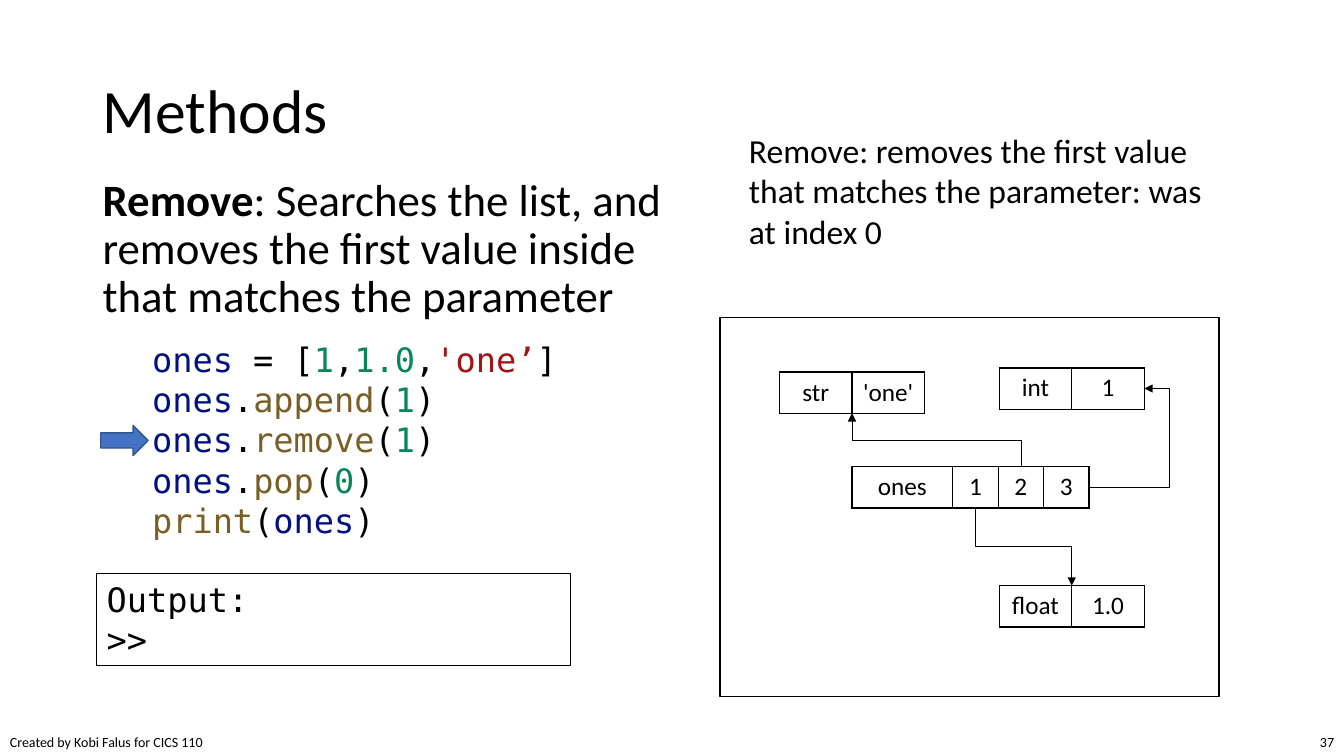
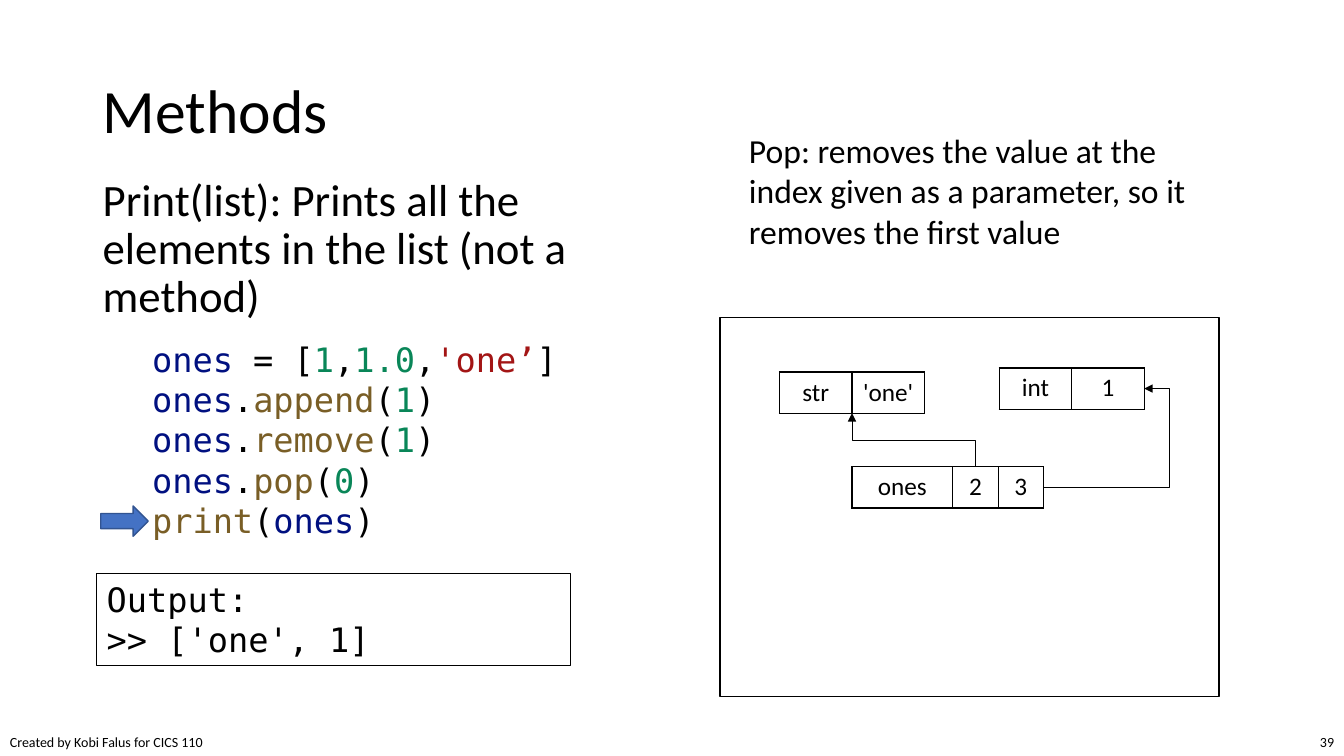
from dataclasses import dataclass
from typing import NamedTuple

from lxml import etree
from pptx import Presentation
from pptx.dml import color
from pptx.enum import shapes, text
from pptx.oxml import ns
from pptx.util import Inches, Pt

BODY_FONT, CODE_FONT = "Calibri", "DejaVu Sans Mono"
BLACK, WHITE = "000000", "FFFFFF"
VARIABLE, FUNCTION, NUMBER, STRING = "001080", "795E26", "098658", "A31515"
ARROW_FILL, ARROW_LINE = "4472C4", "325491"

ROW_HEIGHT = 0.41
OBJECT_WIDTH = 0.72
NAME_WIDTH, ITEM_WIDTH = 1, 0.45
LIST_LEFT, LIST_TOP = 8.45, 4.63
ELBOW_X = 11.6
CODE_ARROW_TOP, CODE_LINE_PITCH = 3.42, 0.4


class Run(NamedTuple):
    text: str
    colour: str = BLACK
    bold: bool = False


class Box(NamedTuple):
    left: float
    top: float
    width: float
    height: float

    def lengths(self) -> list:
        return [Inches(value) for value in self]


class MemoryObject(NamedTuple):
    """A type and value pair in the memory diagram."""
    kind: str
    value: str
    left: float
    top: float

    @property
    def middle(self) -> float:
        return self.left + OBJECT_WIDTH


@dataclass
class Step:
    """One stage of the program: explanation, current line and memory."""
    number: int
    definition: list[Run]
    note: str
    code_line: int
    output: str
    items: list[str]


INT = MemoryObject("int", "1", 9.91, 3.65)
FLOAT = MemoryObject("float", "1.0", 9.91, 5.81)
STR = MemoryObject("str", "'one'", 7.73, 3.69)


def method_call(method: str, argument: str) -> list[Run]:
    return [Run("ones", VARIABLE), Run("."), Run(method, FUNCTION),
            Run("("), Run(argument, NUMBER), Run(")")]


CODE = [
    [Run("ones", VARIABLE), Run(" = ["), Run("1", NUMBER), Run(","),
     Run("1.0", NUMBER), Run(","), Run("'one’", STRING), Run("]")],
    method_call("append", "1"),
    method_call("remove", "1"),
    method_call("pop", "0"),
    [Run("print", FUNCTION), Run("("), Run("ones", VARIABLE), Run(")")],
]

STEPS = [
    Step(37,
         [Run("Remove", bold=True),
          Run(": Searches the list, and removes the first value inside "
              "that matches the parameter")],
         "Remove: removes the first value that matches the parameter: "
         "was at index 0",
         2, ">>", ["1", "2", "3"]),
    Step(39,
         [Run("Print(list): Prints all the elements in the list (not a method)")],
         "Pop: removes the value at the index given as a parameter, "
         "so it removes the first value",
         4, ">> ['one', 1]", ["2", "3"]),
]


def rgb(value: str) -> color.RGBColor:
    return color.RGBColor.from_string(value)


def write(frame, lines: list[list[Run]], size: float, font: str = BODY_FONT,
          align=text.PP_ALIGN.LEFT, spacing: float = 1) -> None:
    for index, line in enumerate(lines):
        paragraph = frame.paragraphs[0] if index == 0 else frame.add_paragraph()
        paragraph.alignment = align
        paragraph.line_spacing = spacing
        for item in line:
            run = paragraph.add_run()
            run.text = item.text
            run.font.size = Pt(size)
            run.font.name = font
            run.font.bold = item.bold
            run.font.color.rgb = rgb(item.colour)


def add_text(slide, box: Box, lines: list[list[Run]], size: float,
             wrap: bool = True, anchor=text.MSO_ANCHOR.TOP, **style) -> None:
    frame = slide.shapes.add_textbox(*box.lengths()).text_frame
    frame.word_wrap = wrap
    frame.vertical_anchor = anchor
    write(frame, lines, size, **style)


def add_shape(slide, kind, box: Box, fill: str | None, line: str, width: float):
    shape = slide.shapes.add_shape(kind, *box.lengths())
    shape.shadow.inherit = False
    if fill:
        shape.fill.solid()
        shape.fill.fore_color.rgb = rgb(fill)
    else:
        shape.fill.background()
    shape.line.color.rgb = rgb(line)
    shape.line.width = Pt(width)
    return shape


def set_borders(cell) -> None:
    properties = cell._tc.get_or_add_tcPr()
    for side in ("a:lnL", "a:lnR", "a:lnT", "a:lnB"):
        border = etree.SubElement(properties, ns.qn(side), w=str(Pt(1)))
        fill = etree.SubElement(border, ns.qn("a:solidFill"))
        etree.SubElement(fill, ns.qn("a:srgbClr"), val=BLACK)


def add_cells(slide, left: float, top: float, widths: list[float],
              labels: list[str], fill: str | None = None) -> None:
    """Draw a one-row table of bordered, centred cells."""
    box = Box(left, top, sum(widths), ROW_HEIGHT)
    table = slide.shapes.add_table(1, len(widths), *box.lengths()).table
    table.first_row = table.horz_banding = False
    for column, width, label, cell in zip(table.columns, widths, labels,
                                          table.rows[0].cells):
        column.width = Inches(width)
        set_borders(cell)
        if fill:
            cell.fill.solid()
            cell.fill.fore_color.rgb = rgb(fill)
        else:
            cell.fill.background()
        write(cell.text_frame, [[Run(label)]], 18, align=text.PP_ALIGN.CENTER)


def add_elbow(slide, start: tuple[float, float], end: tuple[float, float],
              bend: float = 0.5, vertical: bool = False) -> None:
    """Draw a bent arrow; a vertical one leaves and arrives vertically."""
    (x1, y1), (x2, y2) = start, end
    if vertical:
        middle_x, middle_y = (x1 + x2) / 2, (y1 + y2) / 2
        half_x, half_y = (y1 - y2) / 2, (x2 - x1) / 2
        x1, x2 = middle_x - half_x, middle_x + half_x
        y1, y2 = middle_y - half_y, middle_y + half_y
    connector = slide.shapes.add_connector(
        shapes.MSO_CONNECTOR.ELBOW, *(Inches(v) for v in (x1, y1, x2, y2)))
    connector.line.color.rgb = rgb(BLACK)
    connector.line.width = Pt(0.5)
    properties = connector._element.spPr
    if vertical:
        properties.find(ns.qn("a:xfrm")).set("rot", str(270 * 60000))
    adjustments = properties.find(ns.qn("a:prstGeom")).find(ns.qn("a:avLst"))
    etree.SubElement(adjustments, ns.qn("a:gd"), name="adj1",
                     fmla=f"val {round(bend * 100000)}")
    etree.SubElement(properties.find(ns.qn("a:ln")), ns.qn("a:tailEnd"),
                     type="triangle")
    etree.SubElement(properties, ns.qn("a:effectLst"))


def add_memory(slide, items: list[str]) -> None:
    add_shape(slide, shapes.MSO_SHAPE.RECTANGLE, Box(7.14, 3.15, 4.95, 3.76),
              WHITE, BLACK, 1)
    widths = [NAME_WIDTH] + [ITEM_WIDTH] * len(items)
    centres = {item: LIST_LEFT + NAME_WIDTH + ITEM_WIDTH * (index + 0.5)
               for index, item in enumerate(items)}
    objects = [INT, STR]
    if "1" in items:
        objects.append(FLOAT)
        add_elbow(slide, (centres["1"], LIST_TOP + ROW_HEIGHT),
                  (FLOAT.middle, FLOAT.top), vertical=True)
    add_elbow(slide, (centres["2"], LIST_TOP),
              (STR.middle, STR.top + ROW_HEIGHT), vertical=True)
    list_right, int_right = LIST_LEFT + sum(widths), INT.middle + OBJECT_WIDTH
    add_elbow(slide, (list_right, LIST_TOP + ROW_HEIGHT / 2),
              (int_right, INT.top + ROW_HEIGHT / 2),
              bend=(ELBOW_X - list_right) / (int_right - list_right))
    add_cells(slide, LIST_LEFT, LIST_TOP, widths, ["ones", *items], WHITE)
    for item in objects:
        add_cells(slide, item.left, item.top, [OBJECT_WIDTH] * 2,
                  [item.kind, item.value])


def add_frame(slide, number: int) -> None:
    """Add the title, credit and slide number."""
    add_text(slide, Box(0, 7.23, 2.15, 0.27),
             [[Run("Created by Kobi Falus for CICS 110")]], 10, wrap=False)
    add_text(slide, Box(12.78, 7.23, 0.55, 0.27), [[Run(str(number))]], 10,
             align=text.PP_ALIGN.RIGHT)
    add_text(slide, Box(0.92, 0.4, 11.5, 1.45), [[Run("Methods")]], 44,
             anchor=text.MSO_ANCHOR.MIDDLE, spacing=0.9)


def add_program(slide, step: Step) -> None:
    add_text(slide, Box(1.41, 3.31, 4.45, 2.12), CODE, 24, font=CODE_FONT)
    arrow_top = CODE_ARROW_TOP + CODE_LINE_PITCH * step.code_line
    add_shape(slide, shapes.MSO_SHAPE.RIGHT_ARROW, Box(1, arrow_top, 0.47, 0.3),
              ARROW_FILL, ARROW_LINE, 1)
    output = add_shape(slide, shapes.MSO_SHAPE.RECTANGLE,
                       Box(0.96, 5.69, 4.7, 0.91), None, BLACK, 0.75)
    output.text_frame.word_wrap = True
    output.text_frame.vertical_anchor = text.MSO_ANCHOR.TOP
    write(output.text_frame, [[Run("Output:")], [Run(step.output)]], 24, CODE_FONT)


def add_step(presentation, step: Step) -> None:
    slide = presentation.slides.add_slide(presentation.slide_layouts[6])
    add_frame(slide, step.number)
    add_text(slide, Box(0.92, 1.71, 6.04, 4.76), [step.definition], 32,
             spacing=0.9)
    add_text(slide, Box(7.33, 1.24, 4.75, 1.31), [[Run(step.note)]], 24)
    add_program(slide, step)
    add_memory(slide, step.items)


def main() -> None:
    presentation = Presentation()
    presentation.slide_width = Inches(13.33)
    presentation.slide_height = Inches(7.5)
    for step in STEPS:
        add_step(presentation, step)
    presentation.save("out.pptx")


if __name__ == "__main__":
    main()
